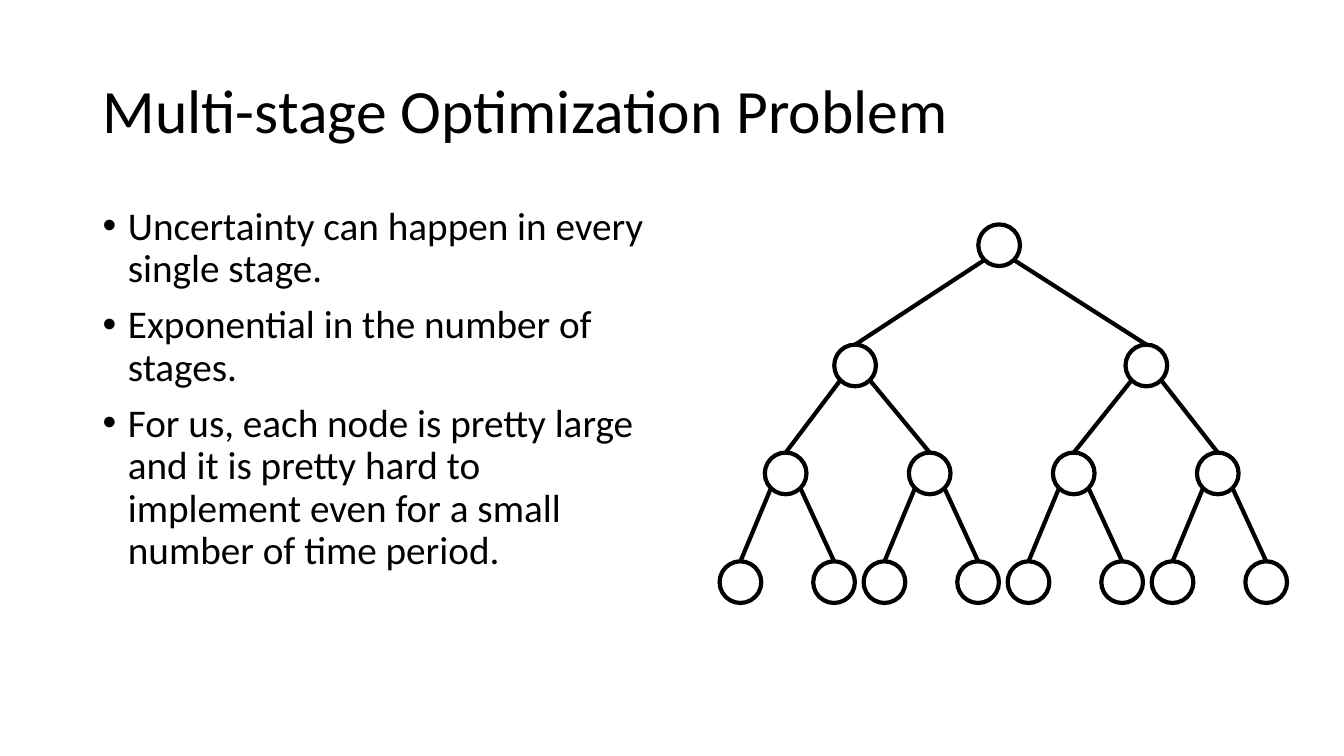
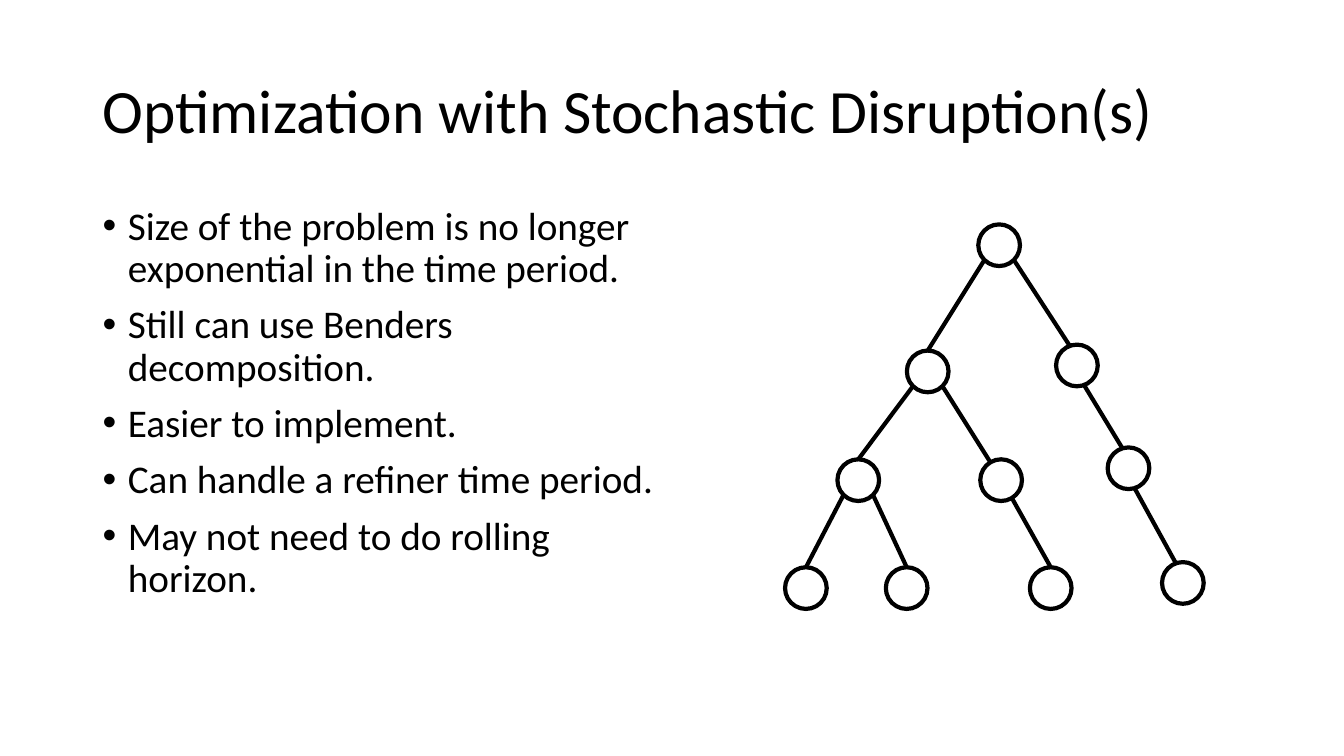
from dataclasses import dataclass
from math import cos, radians, sin

from lxml.etree import SubElement
from pptx import Presentation
from pptx.dml.color import RGBColor
from pptx.enum.shapes import MSO_CONNECTOR, MSO_SHAPE
from pptx.enum.text import MSO_ANCHOR, MSO_AUTO_SIZE, PP_ALIGN
from pptx.oxml.ns import qn
from pptx.util import Cm, Pt

FONT = "Calibri"
BLACK = "000000"
RADIUS = 0.525
LINE_WIDTH = Pt(3)
TITLE_BOX = (2.33, 1.01, 29.21, 3.68)
BODY_BOX = (2.33, 5.07, 14.4, 12.09)
BULLET_INDENT = Cm(0.64)


@dataclass
class Node:
    """Centre in cm; tilt turns the entry point left of the top, in degrees."""
    x: float
    y: float
    children: tuple = ()
    tilt: float = 0

    def rim(self, angle):
        """Point on the circle, with the angle clockwise from the top."""
        turn = radians(angle)
        return Cm(self.x + RADIUS * sin(turn)), Cm(self.y - RADIUS * cos(turn))

    def exits(self):
        """Two branches leave diagonally; a single one goes straight through."""
        return (225, 135) if len(self.children) == 2 else (180 - self.tilt,)


def colour(hex_value):
    return RGBColor.from_string(hex_value)


def place(shape, box):
    shape.left, shape.top, shape.width, shape.height = map(Cm, box)


def write(placeholder, lines, size, anchor=MSO_ANCHOR.TOP, before=0, bullet=None):
    frame = placeholder.text_frame
    frame.text = "\n".join(lines)
    frame.auto_size = MSO_AUTO_SIZE.NONE
    frame.vertical_anchor = anchor
    for paragraph in frame.paragraphs:
        paragraph.alignment = PP_ALIGN.LEFT
        paragraph.line_spacing = 0.9
        paragraph.space_before = Pt(before)
        paragraph.font.name = FONT
        paragraph.font.size = Pt(size)
        paragraph.font.color.rgb = colour(BLACK)
        if bullet:
            properties = paragraph._p.get_or_add_pPr()
            properties.set("marL", str(BULLET_INDENT))
            properties.set("indent", str(-BULLET_INDENT))
            SubElement(properties, qn("a:buFont"), typeface="Arial")
            SubElement(properties, qn("a:buChar"), char=bullet)


def outline(shape):
    shape.line.color.rgb = colour(BLACK)
    shape.line.width = LINE_WIDTH


def draw_branch(slide, start, end):
    branch = slide.shapes.add_connector(MSO_CONNECTOR.STRAIGHT, *start, *end)
    outline(branch)
    SubElement(branch._element.spPr, qn("a:effectLst"))
    return branch


def draw_tree(slide, node):
    """Draw the node and everything below it; return the node's circle."""
    circle = slide.shapes.add_shape(
        MSO_SHAPE.OVAL, Cm(node.x - RADIUS), Cm(node.y - RADIUS),
        Cm(2 * RADIUS), Cm(2 * RADIUS))
    circle.shadow.inherit = False
    circle.fill.background()
    outline(circle)
    for child, angle in zip(node.children, node.exits()):
        child_circle = draw_tree(slide, child)
        branch = draw_branch(slide, node.rim(angle), child.rim(-child.tilt))
        if not child.tilt:
            branch.end_connect(child_circle, 0)
    return circle


def full_tree():
    """Every node splits in two at every stage."""
    pairs = [
        Node(x, 11.93, (Node(x - 1.14, 14.67), Node(x + 1.22, 14.67)))
        for x in (19.8 + 3.63 * i for i in range(4))
    ]
    return Node(25.18, 6.18, (
        Node(21.55, 9.21, tuple(pairs[:2])),
        Node(28.89, 9.21, tuple(pairs[2:]))))


def disruption_tree():
    """Only the undisrupted path keeps splitting."""
    undisrupted = Node(21.63, 12.1, (Node(20.31, 14.82), Node(22.85, 14.82)))
    late = Node(25.23, 12.1, (Node(26.48, 14.82),), tilt=31)
    early = Node(28.44, 11.8, (Node(29.81, 14.69, tilt=19.5),), tilt=17)
    return Node(25.18, 6.18, (
        Node(23.38, 9.36, (undisrupted, late)),
        Node(27.14, 9.21, (early,), tilt=20)))


def add_tree_slide(deck, layout, title, points, tree):
    slide = deck.slides.add_slide(layout)
    write(slide.shapes.title, [title], 44, anchor=MSO_ANCHOR.MIDDLE)
    write(slide.placeholders[1], points, 28, before=10, bullet="•")
    draw_tree(slide, tree)


def main():
    deck = Presentation()
    deck.slide_width, deck.slide_height = Cm(33.87), Cm(19.05)
    layout = deck.slide_layouts[1]
    place(layout.placeholders[0], TITLE_BOX)
    place(layout.placeholders[1], BODY_BOX)

    add_tree_slide(deck, layout, "Multi-stage Optimization Problem", [
        "Uncertainty can happen in every single stage.",
        "Exponential in the number of stages.",
        "For us, each node is pretty large and it is pretty hard to implement "
        "even for a small number of time period.",
    ], full_tree())
    add_tree_slide(deck, layout, "Optimization with Stochastic Disruption(s)", [
        "Size of the problem is no longer exponential in the time period.",
        "Still can use Benders decomposition.",
        "Easier to implement.",
        "Can handle a refiner time period.",
        "May not need to do rolling horizon.",
    ], disruption_tree())
    deck.save("out.pptx")


if __name__ == "__main__":
    main()
